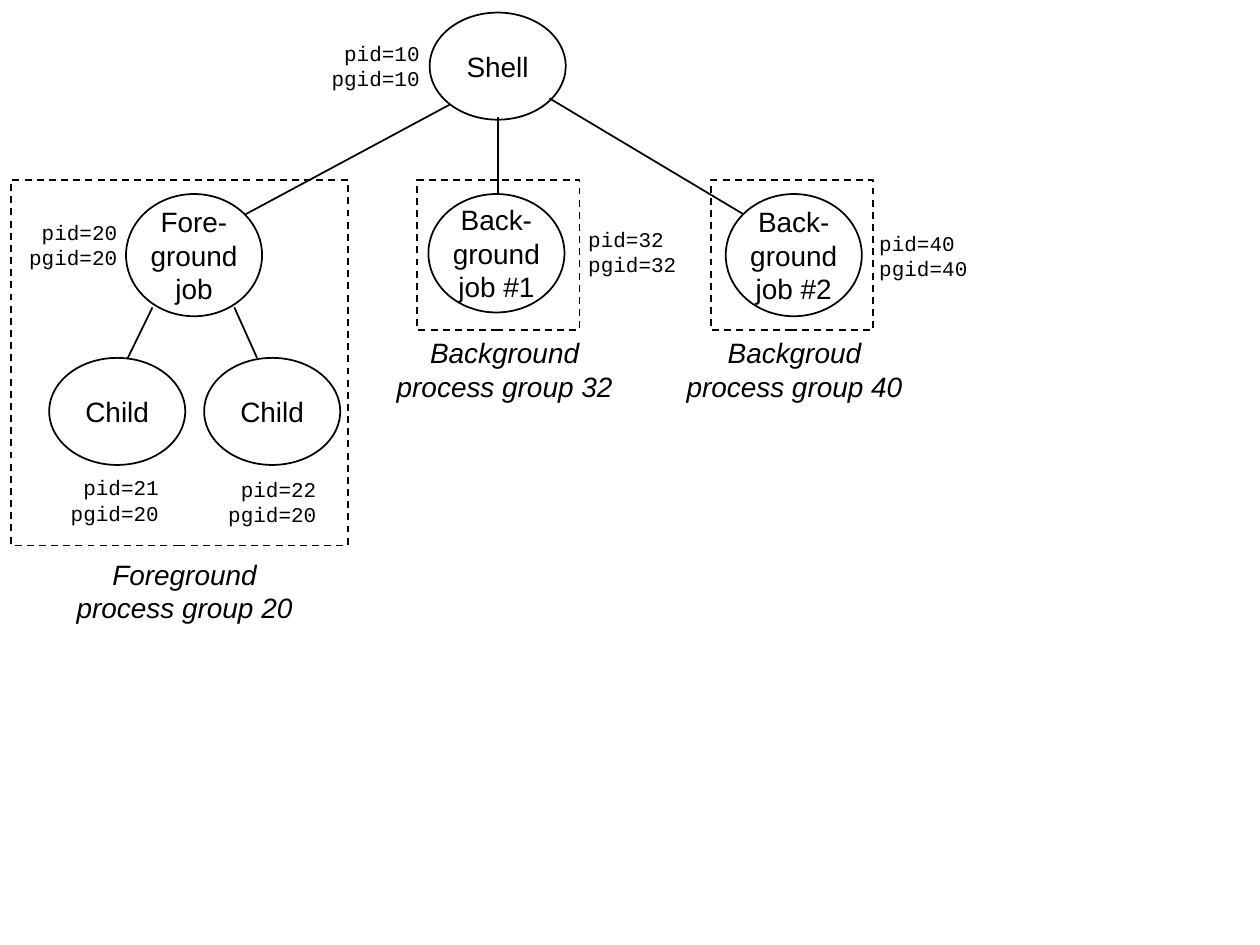
from dataclasses import dataclass

import lxml.etree
import pptx
import pptx.dml.color
import pptx.enum.dml
import pptx.enum.shapes
import pptx.enum.text
import pptx.oxml.ns
import pptx.util

Inches = pptx.util.Inches
Align = pptx.enum.text.PP_ALIGN
AutoShape = pptx.enum.shapes.MSO_SHAPE


@dataclass(frozen=True)
class Theme:
    ink: pptx.dml.color.RGBColor = pptx.dml.color.RGBColor(0, 0, 0)
    paper: pptx.dml.color.RGBColor = pptx.dml.color.RGBColor(255, 255, 255)
    label_font: str = "Arial"
    code_font: str = "Courier New"
    label_size: pptx.util.Pt = pptx.util.Pt(16)
    code_size: pptx.util.Pt = pptx.util.Pt(12)
    line_width: pptx.util.Pt = pptx.util.Pt(1)


THEME = Theme()


@dataclass(frozen=True)
class Process:
    name: str
    left: float
    top: float
    height: float
    pid: int
    pgid: int
    id_left: float
    id_top: float
    id_align: Align = Align.RIGHT


@dataclass(frozen=True)
class Branch:
    start: tuple[float, float]
    end: tuple[float, float]


@dataclass(frozen=True)
class ProcessGroup:
    caption: str
    left: float
    width: float
    height: float
    caption_left: float
    caption_top: float


PROCESS_WIDTH = 1.08
GROUP_TOP = 1.43
JOB_TOP = 1.54
CHILD_TOP = 2.84

PROCESSES = [
    Process("Fore-\nground\njob", 1, JOB_TOP, 0.97, 20, 20, 0.13, 1.69),
    Process("Back-\nground\njob #1", 3.4, JOB_TOP, 0.94, 32, 32, 4.57, 1.75, Align.LEFT),
    Process("Back-\nground\njob #2", 5.76, JOB_TOP, 0.97, 40, 40, 6.88, 1.78, Align.LEFT),
    Process("Shell", 3.41, 0.1, 0.85, 10, 10, 2.53, 0.27),
    Process("Child", 0.39, CHILD_TOP, 0.85, 21, 20, 0.46, 3.72),
    Process("Child", 1.62, CHILD_TOP, 0.85, 22, 20, 1.71, 3.73),
]

BRANCHES = [
    Branch((1.21, 2.44), (1.01, 2.85)),
    Branch((1.86, 2.44), (2.04, 2.84)),
    Branch((3.95, 0.93), (3.95, 1.54)),
    Branch((3.57, 0.83), (1.95, 1.7)),
    Branch((4.36, 0.78), (5.9, 1.7)),
]

GROUPS = [
    ProcessGroup("Foreground\nprocess group 20", 0.09, 2.67, 2.9, 0.51, 4.37),
    ProcessGroup("Background\nprocess group 32", 3.31, 1.29, 1.19, 3.05, 2.61),
    ProcessGroup("Backgroud\nprocess group 40", 5.64, 1.29, 1.19, 5.35, 2.61),
]


def write_text(shape, text: str, align: Align, font_name: str,
               size: pptx.util.Pt, italic: bool = False) -> None:
    frame = shape.text_frame
    frame.text = text
    frame.word_wrap = False
    frame.vertical_anchor = pptx.enum.text.MSO_ANCHOR.MIDDLE
    for paragraph in frame.paragraphs:
        paragraph.alignment = align
        paragraph.font.name = font_name
        paragraph.font.size = size
        paragraph.font.italic = italic
        paragraph.font.color.rgb = THEME.ink


def add_label(slide, left: float, top: float, width: float, height: float,
              text: str, align: Align, font_name: str,
              size: pptx.util.Pt, italic: bool = False) -> None:
    shape = slide.shapes.add_textbox(
        Inches(left), Inches(top), Inches(width), Inches(height))
    write_text(shape, text, align, font_name, size, italic)
    shape.text_frame.auto_size = pptx.enum.text.MSO_AUTO_SIZE.SHAPE_TO_FIT_TEXT


def add_outline(slide, kind: AutoShape, left: float, top: float,
                width: float, height: float):
    shape = slide.shapes.add_shape(
        kind, Inches(left), Inches(top), Inches(width), Inches(height))
    shape.shadow.inherit = False
    shape.line.color.rgb = THEME.ink
    shape.line.width = THEME.line_width
    return shape


def draw_process(slide, process: Process) -> None:
    shape = add_outline(slide, AutoShape.OVAL, process.left, process.top,
                        PROCESS_WIDTH, process.height)
    shape.fill.solid()
    shape.fill.fore_color.rgb = THEME.paper
    write_text(shape, process.name, Align.CENTER, THEME.label_font, THEME.label_size)


def draw_process_ids(slide, process: Process) -> None:
    add_label(slide, process.id_left, process.id_top, 0.9, 0.5,
              f"pid={process.pid}\npgid={process.pgid}", process.id_align,
              THEME.code_font, THEME.code_size)


def draw_branch(slide, branch: Branch) -> None:
    connector = slide.shapes.add_connector(
        pptx.enum.shapes.MSO_CONNECTOR.STRAIGHT,
        *(Inches(value) for value in branch.start + branch.end))
    connector.line.color.rgb = THEME.ink
    connector.line.width = THEME.line_width
    lxml.etree.SubElement(connector._element.spPr, pptx.oxml.ns.qn("a:effectLst"))


def draw_group(slide, group: ProcessGroup) -> None:
    shape = add_outline(slide, AutoShape.RECTANGLE, group.left, GROUP_TOP,
                        group.width, group.height)
    shape.fill.background()
    shape.line.dash_style = pptx.enum.dml.MSO_LINE.DASH
    add_label(slide, group.caption_left, group.caption_top, 1.91, 0.64,
              group.caption, Align.CENTER, THEME.label_font, THEME.label_size, True)


def main() -> None:
    presentation = pptx.Presentation()
    presentation.slide_width = Inches(10)
    presentation.slide_height = Inches(7.5)
    slide = presentation.slides.add_slide(presentation.slide_layouts[6])
    for process in PROCESSES:
        draw_process(slide, process)
    for branch in BRANCHES:
        draw_branch(slide, branch)
    for group in GROUPS:
        draw_group(slide, group)
    for process in PROCESSES:
        draw_process_ids(slide, process)
    presentation.save("out.pptx")


if __name__ == "__main__":
    main()
